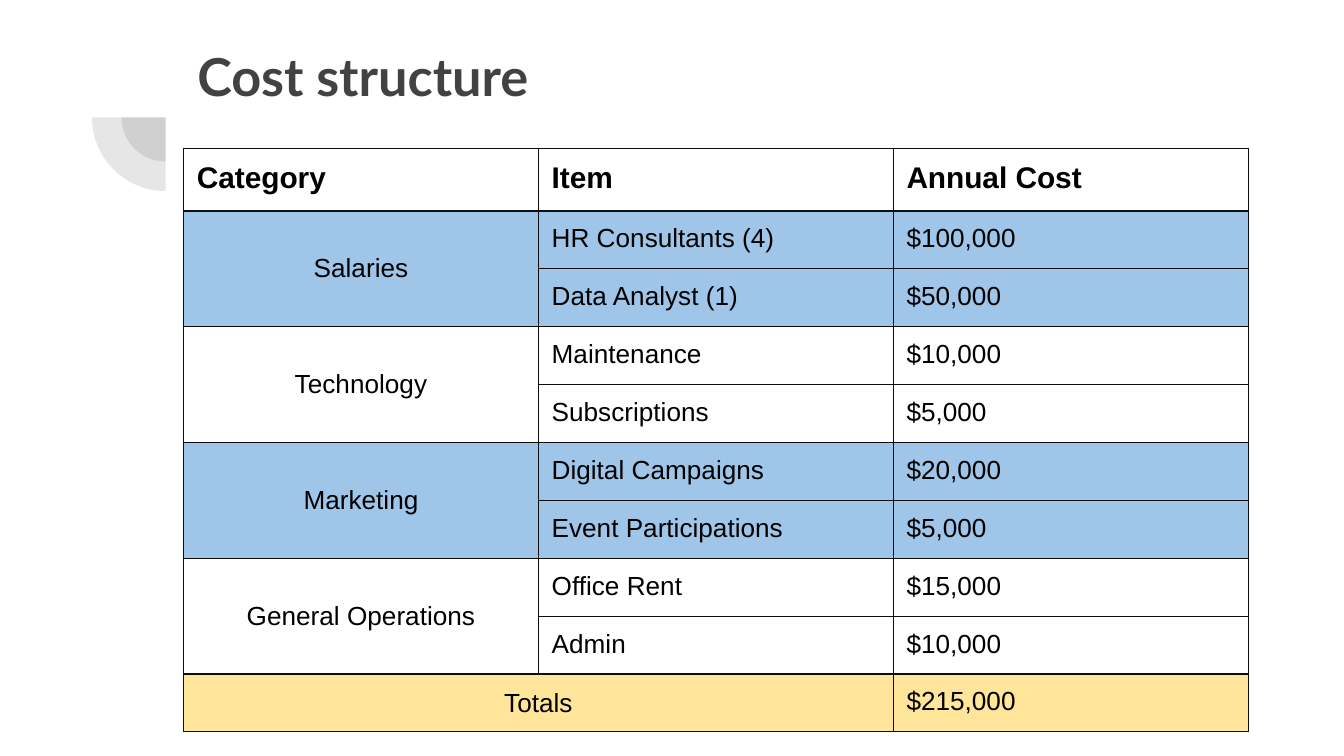
from lxml.etree import SubElement
from pptx import Presentation
from pptx.dml.color import RGBColor
from pptx.enum.shapes import MSO_SHAPE
from pptx.enum.text import MSO_ANCHOR, PP_ALIGN
from pptx.oxml.ns import qn
from pptx.util import Cm, Pt

GRAY, BLACK, EDGE = "424242", "000000", "0D0D0D"
BLUE, GOLD = "9FC5E8", "FFE599"
INSET = Cm(0.25)
HEADS = ("Category", "Item", "Annual Cost")
GROUPS = {
    "Salaries": (("HR Consultants (4)", "$100,000"), ("Data Analyst (1)", "$50,000")),
    "Technology": (("Maintenance", "$10,000"), ("Subscriptions", "$5,000")),
    "Marketing": (("Digital Campaigns", "$20,000"), ("Event Participations", "$5,000")),
    "General Operations": (("Office Rent", "$15,000"), ("Admin", "$10,000")),
}
TOTAL = "$215,000"


def paint(color, code):
    color.rgb = RGBColor.from_string(code)


def pad(item, inset=INSET):
    for side in ("left", "right", "top", "bottom"):
        setattr(item, f"margin_{side}", inset)


def write(frame, text, color, **format):
    run = frame.paragraphs[0].add_run()
    run.text = text
    for key, value in format.items():
        setattr(run.font, key, value)
    paint(run.font.color, color)


def draw_arcs(slide, left, top, size):
    """Two translucent quarter discs sharing the top right corner of the box."""
    for radius in (size * 0.6, size):
        x, y = left + size - radius, top - radius
        pie = slide.shapes.add_shape(
            MSO_SHAPE.PIE, Cm(x), Cm(y), Cm(2 * radius), Cm(2 * radius))
        pie.adjustments[0], pie.adjustments[1] = 108, 162
        pie.rotation = 270
        pie.shadow.inherit = False
        pie.line.fill.background()
        pie.fill.solid()
        paint(pie.fill.fore_color, GRAY)
        tint = pie.fill._xPr.find(qn("a:solidFill"))[0]
        SubElement(tint, qn("a:alpha"), val="13000")


def draw_title(slide, left, top, width, height):
    frame = slide.shapes.add_textbox(Cm(left), Cm(top), Cm(width), Cm(height)).text_frame
    frame.word_wrap = True
    pad(frame)
    write(frame, "Cost structure", GRAY, name="Lato", size=Pt(28), bold=True)


def set_edges(cell):
    props = cell._tc.get_or_add_tcPr()
    for side in "LRTB":
        line = SubElement(props, qn(f"a:ln{side}"), w=str(Pt(0.75)))
        fill = SubElement(line, qn("a:solidFill"))
        SubElement(fill, qn("a:srgbClr"), val=EDGE)


def style_cell(cell, fill):
    set_edges(cell)
    if fill:
        cell.fill.solid()
        paint(cell.fill.fore_color, fill)
    else:
        cell.fill.background()


def draw_costs(slide, left, top, width, height):
    rows = [(HEADS, None)]
    for i, (name, items) in enumerate(GROUPS.items()):
        for j, item in enumerate(items):
            rows.append((("" if j else name, *item), None if i % 2 else BLUE))
    rows.append((("Totals", "", TOTAL), GOLD))
    last = len(rows) - 1

    table = slide.shapes.add_table(
        len(rows), len(HEADS), Cm(left), Cm(top), Cm(width), Cm(height)).table
    table.first_row = table.horz_banding = False
    for r, (texts, fill) in enumerate(rows):
        for c, text in enumerate(texts):
            cell = table.cell(r, c)
            style_cell(cell, fill)
            if not text:
                # A covered cell must not stretch its row.
                pad(cell, 0)
                continue
            pad(cell)
            write(cell.text_frame, text, BLACK, name="Arial",
                  size=Pt(14 if r else 16), bold=r == 0)
            if r and c == 0:
                cell.vertical_anchor = MSO_ANCHOR.MIDDLE
                cell.text_frame.paragraphs[0].alignment = PP_ALIGN.CENTER

    start = 1
    for items in GROUPS.values():
        end = start + len(items)
        table.cell(start, 0).merge(table.cell(end - 1, 0))
        start = end
    table.cell(last, 0).merge(table.cell(last, 1))


def main():
    deck = Presentation()
    deck.slide_width, deck.slide_height = Cm(25.4), Cm(14.29)
    slide = deck.slides.add_slide(deck.slide_layouts[6])
    draw_arcs(slide, 1.74, 2.22, 1.39)
    draw_title(slide, 3.48, 0.58, 19.53, 2.77)
    draw_costs(slide, 3.47, 2.81, 20.12, 10.6)
    deck.save("out.pptx")


if __name__ == "__main__":
    main()
